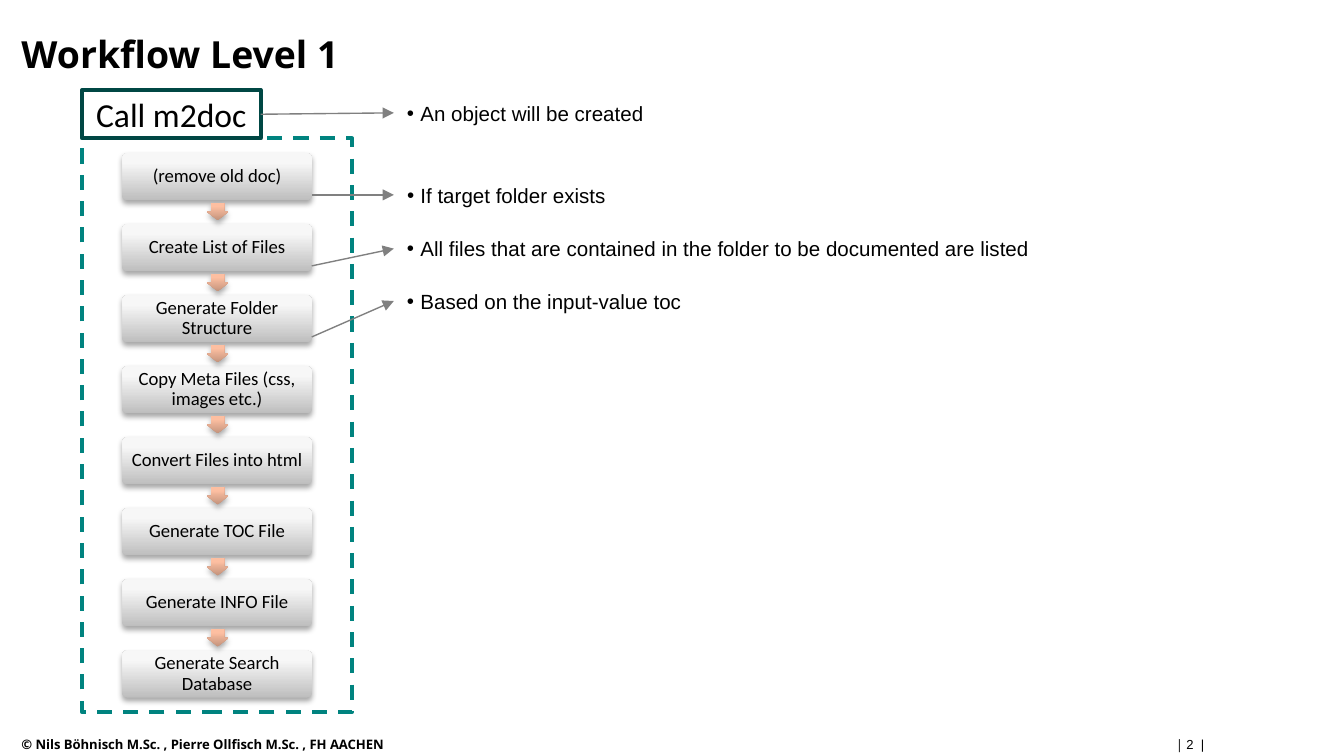
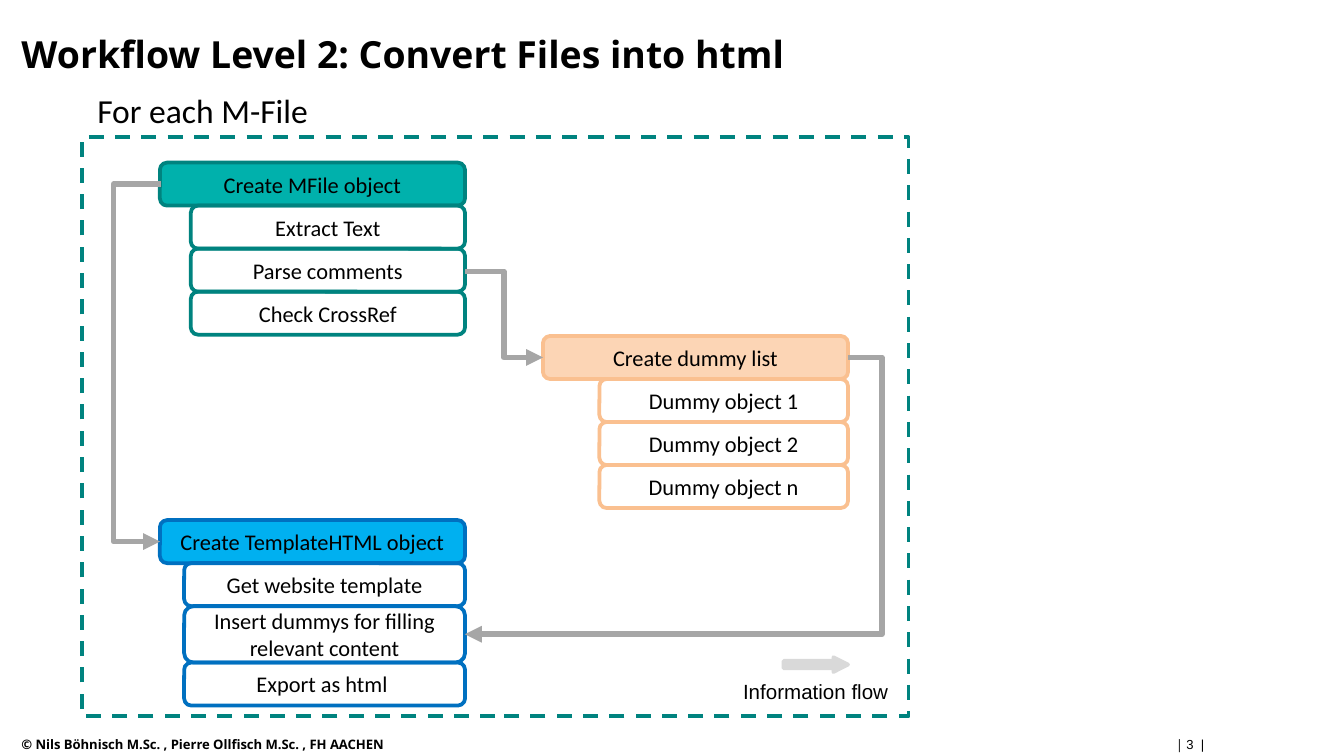
from lxml.etree import SubElement
from pptx import Presentation
from pptx.dml.color import RGBColor
from pptx.enum.dml import MSO_LINE_DASH_STYLE as Dash
from pptx.enum.shapes import MSO_CONNECTOR as Link, MSO_SHAPE as Shape
from pptx.enum.text import MSO_ANCHOR as Anchor, MSO_AUTO_SIZE as AutoSize, PP_ALIGN as Align
from pptx.oxml.ns import qn
from pptx.util import Inches, Pt

HEADING, BODY, NOTE = "Open Sans", "Calibri", "Arial"
BLACK, TEAL, DARK_TEAL = "000000", "00837F", "004744"
STEP_GRADIENT = [(0, "BEBEBE"), (80, "F7F7F7"), (100, "F8F8F8")]
ARROW_GRADIENT = [(0, "C3937C"), (80, "FDBFA1"), (100, "FFC0A1")]
AUTHORS = "© Nils Böhnisch M.Sc. , Pierre Ollfisch M.Sc. , FH AACHEN"


def color(value):
    return RGBColor.from_string(value)


def child(parent, tag, **attributes):
    return SubElement(parent, qn(tag), {key: str(value) for key, value in attributes.items()})


def add_text(para, text, size=12, font=BODY, bold=False, align=Align.LEFT):
    para.alignment = align
    span = para.add_run()
    span.text = text
    span.font.size = Pt(size)
    span.font.name = font
    span.font.bold = bold
    span.font.color.rgb = color(BLACK)


def set_margins(frame, horizontal, vertical):
    frame.margin_left = frame.margin_right = Inches(horizontal)
    frame.margin_top = frame.margin_bottom = Inches(vertical)


class Workflow:
    def __init__(self, deck):
        self.deck = deck
        self.page = None

    def start(self, title, number):
        self.page = self.deck.slides.add_slide(self.deck.slide_layouts[5])
        box = self.page.shapes.title
        box.left, box.top, box.width, box.height = map(Inches, (0.16, 0.23, 9.31, 0.4))
        frame = box.text_frame
        frame.auto_size = AutoSize.NONE
        frame.vertical_anchor = Anchor.TOP
        set_margins(frame, 0, 0)
        add_text(frame.paragraphs[0], title, size=20, font=HEADING, bold=True)
        self.footer(number)

    def textbox(self, left, top, width, height, wrap=False):
        box = self.page.shapes.add_textbox(*map(Inches, (left, top, width, height)))
        box.text_frame.word_wrap = wrap
        box.text_frame.auto_size = AutoSize.SHAPE_TO_FIT_TEXT
        return box.text_frame

    def footer(self, number):
        frame = self.textbox(0.16, 5.48, 9.4, 0.12, wrap=True)
        set_margins(frame, 0, 0)
        para = frame.paragraphs[0]
        tabs = child(para._p.get_or_add_pPr(), "a:tabLst")
        child(tabs, "a:tab", pos=Inches(8.59), algn="l")
        add_text(para, AUTHORS + "\t", size=7, font=HEADING, bold=True)
        add_text(para, "| ", size=7, font=HEADING)
        add_text(para, f"{number}  | ", size=7, font=NOTE)

    def note(self, text, left, top, width, bullet=False):
        para = self.textbox(left, top, width, 0.29).paragraphs[0]
        add_text(para, text, size=11, font=NOTE)
        if bullet:
            layout = para._p.get_or_add_pPr()
            layout.set("marL", str(Inches(0.1)))
            layout.set("indent", str(Inches(-0.1)))
            child(layout, "a:buFont", typeface=NOTE)
            child(layout, "a:buChar", char="•")

    def shape(self, kind, left, top, width, height, fill=None, line=None, adjust=()):
        box = self.page.shapes.add_shape(kind, *map(Inches, (left, top, width, height)))
        box.shadow.inherit = False
        for index, value in enumerate(adjust):
            box.adjustments[index] = value
        if fill:
            box.fill.solid()
            box.fill.fore_color.rgb = color(fill)
        else:
            box.fill.background()
        if line:
            box.line.color.rgb = color(line)
            box.line.width = Pt(2)
        else:
            box.line.fill.background()
        return box

    def label(self, box, text, **style):
        frame = box.text_frame
        frame.word_wrap = True
        frame.vertical_anchor = Anchor.MIDDLE
        style.setdefault("align", Align.CENTER)
        add_text(frame.paragraphs[0], text, **style)
        return frame

    def frame(self, left, top, width, height):
        box = self.shape(Shape.RECTANGLE, left, top, width, height, line=TEAL)
        box.line.dash_style = Dash.DASH

    def raised(self, kind, left, top, width, height, stops, adjust):
        box = self.shape(kind, left, top, width, height, adjust=adjust)
        box.fill.gradient()
        box.fill.gradient_angle = 90
        properties = box._element.spPr
        stop_list = properties.find(qn("a:gradFill")).find(qn("a:gsLst"))
        stop_list.clear()
        for position, value in stops:
            stop = child(stop_list, "a:gs", pos=position * 1000)
            child(stop, "a:srgbClr", val=value)
        shadow = child(properties.find(qn("a:effectLst")), "a:outerShdw",
                       blurRad=Pt(3.1), dist=Pt(1.8), dir=5400000, rotWithShape=0)
        child(child(shadow, "a:srgbClr", val=BLACK), "a:alpha", val=35000)
        return box

    def step(self, text, top):
        box = self.raised(Shape.ROUNDED_RECTANGLE, 0.91, top, 1.41, 0.35, STEP_GRADIENT, [0.1])
        frame = self.label(box, text, size=10)
        frame.paragraphs[0].line_spacing = 0.9
        set_margins(frame, 0.05, 0.05)

    def stack(self, left, top, width, indent, fill, line, title, rows):
        for index, text in enumerate([title, *rows]):
            inset = indent if index else 0
            height = 0.42 if len(text) > 30 else 0.32
            box = self.shape(Shape.ROUNDED_RECTANGLE, left + inset, top, width - inset, height,
                             fill=None if index else fill, line=line)
            self.label(box, text)
            top += height

    def arrow(self, start, end, line="808080", width=0.75, via=None):
        kind = Link.STRAIGHT if via is None else Link.ELBOW
        link = self.page.shapes.add_connector(kind, *map(Inches, (*start, *end)))
        link.line.color.rgb = color(line)
        link.line.width = Pt(width)
        properties = link._element.spPr
        child(properties.find(qn("a:ln")), "a:tailEnd", type="triangle")
        child(properties, "a:effectLst")
        if via is not None:
            bend = round((via - start[0]) / (end[0] - start[0]) * 100000)
            guides = properties.find(qn("a:prstGeom")).find(qn("a:avLst"))
            child(guides, "a:gd", name="adj1", fmla=f"val {bend}")

    def flow(self, start, end, via):
        self.arrow(start, end, line="A6A6A6", width=3, via=via)


deck = Presentation()
deck.slide_width = Inches(10)
deck.slide_height = deck.slide_width * 9 // 16
workflow = Workflow(deck)

workflow.start("Workflow Level 1", 2)
steps = ["(remove old doc)", "Create List of Files", "Generate Folder Structure",
         "Copy Meta Files (css, images etc.)", "Convert Files into html",
         "Generate TOC File", "Generate INFO File", "Generate Search Database"]
step_tops = [1.14 + index * 3.7 / 7 for index in range(len(steps))]
for text, top in zip(steps, step_tops):
    workflow.step(text, top)
for top in step_tops[:-1]:
    workflow.raised(Shape.DOWN_ARROW, 1.54, top + 0.37, 0.16, 0.13, ARROW_GRADIENT, [0.6, 0.5])
workflow.frame(0.61, 1.03, 2.01, 4.27)
call = workflow.shape(Shape.ROUNDED_RECTANGLE, 0.61, 0.67, 1.33, 0.36, line=DARK_TEAL, adjust=[0])
workflow.label(call, "Call m2doc", size=18)
notes = [
    ("An object will be created", 0.7, 1.97, (1.94, 0.85)),
    ("If target folder exists", 1.31, 1.69, (2.32, step_tops[0] + 0.31)),
    ("All files that are contained in the folder to be documented are listed",
     1.71, 4.86, (2.32, step_tops[1] + 0.31)),
    ("Based on the input-value toc", 2.1, 2.26, (2.32, step_tops[2] + 0.31)),
]
for text, top, width, start in notes:
    workflow.note(text, 2.93, top, width, bullet=True)
    workflow.arrow(start, (2.93, top + 0.14))

workflow.start("Workflow Level 2: Convert Files into html", 3)
scope = workflow.shape(Shape.ROUNDED_RECTANGLE, 0.61, 0.66, 6.09, 0.32)
workflow.label(scope, "For each M-File", size=18, align=Align.LEFT)
workflow.stack(4.04, 2.5, 2.27, 0.42, "FCD5B5", "FAC090", "Create dummy list",
               ["Dummy object 1", "Dummy object 2", "Dummy object n"])
workflow.stack(1.19, 1.21, 2.27, 0.23, "00B1AC", TEAL, "Create MFile object",
               ["Extract Text", "Parse comments", "Check CrossRef"])
workflow.stack(1.19, 3.87, 2.27, 0.18, "00B0F0", "0070C0", "Create TemplateHTML object",
               ["Get website template", "Insert dummys for filling relevant content",
                "Export as html "])
workflow.frame(0.61, 1.02, 6.15, 4.31)
workflow.shape(Shape.RIGHT_ARROW, 5.83, 4.89, 0.48, 0.11, fill="D9D9D9", line="D9D9D9",
               adjust=[0.5, 0.99])
workflow.note("Information flow", 5.43, 5, 1.29)
workflow.flow((1.2, 1.37), (1.19, 4.03), via=0.84)
workflow.flow((3.46, 2.02), (4.04, 2.66), via=3.75)
workflow.flow((6.31, 2.66), (3.46, 4.72), via=6.56)

deck.save("out.pptx")
